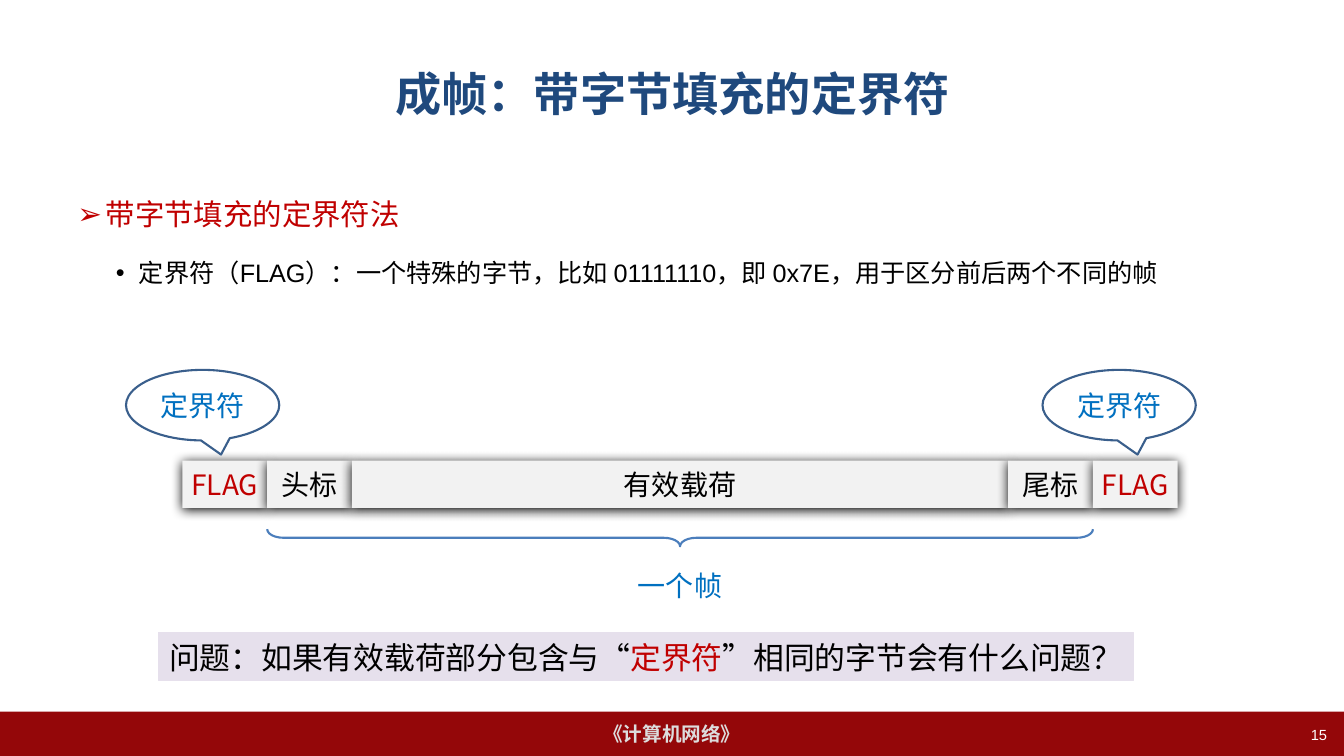
from lxml.etree import SubElement
from pptx import Presentation
from pptx.dml.color import RGBColor
from pptx.enum.shapes import MSO_SHAPE as SHAPE
from pptx.enum.text import MSO_ANCHOR as ANCHOR, PP_ALIGN as ALIGN
from pptx.oxml.ns import qn
from pptx.util import Inches, Pt

COLORS = {
    "bar": "940709", "bar_text": "DDDDDD", "title": "1F497D",
    "red": "C00000", "black": "000000", "blue": "0070C0",
    "white": "FFFFFF", "cell": "F2F2F2", "brace": "4B7EBC",
    "callout": "3A5F8C", "question": "E6E0EC",
}
LATIN, CJK = "Arial", "Noto Sans CJK SC"


def rgb(name):
    return RGBColor.from_string(COLORS[name])


class SlideBuilder:
    def __init__(self, slide):
        self.shapes = slide.shapes

    def style(self, p, size, color, font=CJK, bold=False, align=ALIGN.CENTER):
        p.alignment = align
        p.font.size = Pt(size)
        p.font.bold = bold
        p.font.color.rgb = rgb(color)
        p.font.name = font
        props = p._p.pPr.find(qn("a:defRPr"))
        SubElement(props, qn("a:ea"), typeface=CJK)

    def label(self, sp, text, size, color, anchor=ANCHOR.MIDDLE, wrap=True, **style):
        tf = sp.text_frame
        tf.word_wrap = wrap
        tf.vertical_anchor = anchor
        p = tf.paragraphs[0]
        p.text = text
        self.style(p, size, color, **style)
        return p

    def text(self, box, text, size, color, **options):
        sp = self.shapes.add_textbox(*map(Inches, box))
        self.label(sp, text, size, color, **options)

    def shape(self, kind, box, fill=None, line=None, width=1.5, adjust=()):
        sp = self.shapes.add_shape(kind, *map(Inches, box))
        sp.shadow.inherit = False
        if fill:
            sp.fill.solid()
            sp.fill.fore_color.rgb = rgb(fill)
        else:
            sp.fill.background()
        if line:
            sp.line.color.rgb = rgb(line)
            sp.line.width = Pt(width)
        else:
            sp.line.fill.background()
        for i, value in enumerate(adjust):
            sp.adjustments[i] = value
        return sp

    def cell(self, box, text, color):
        sp = self.shape(SHAPE.RECTANGLE, box, "cell")
        effects = sp._element.spPr.find(qn("a:effectLst"))
        shadow = SubElement(effects, qn("a:outerShdw"), blurRad=str(Pt(8.5)),
                            dist=str(Pt(1)), dir="5400000", algn="t", rotWithShape="0")
        SubElement(shadow, qn("a:srgbClr"), val=COLORS["black"])
        tf = sp.text_frame
        tf.margin_left = tf.margin_right = tf.margin_top = tf.margin_bottom = 0
        self.label(sp, text, 20, color, wrap=False)

    def callout(self, left, text):
        sp = self.shape(SHAPE.OVAL_CALLOUT, (left, 3.67, 1.52, 0.7), "white",
                        "callout", adjust=(0.12, 0.7))
        self.label(sp, text, 20, "blue")

    def bullets(self, box, items):
        tf = self.shapes.add_textbox(*map(Inches, box)).text_frame
        tf.word_wrap = True
        for level, (text, mark, margin, hang, size, color) in enumerate(items):
            p = tf.add_paragraph() if level else tf.paragraphs[0]
            p.text = text
            p.level = level
            p.line_spacing = Pt(36)
            if level:
                p.space_before = Pt(4)
            props = p._p.get_or_add_pPr()
            props.set("marL", str(Inches(margin)))
            props.set("indent", str(-Inches(hang)))
            SubElement(props, qn("a:buFont"), typeface=LATIN)
            SubElement(props, qn("a:buChar"), char=mark)
            self.style(p, size, color, LATIN, align=ALIGN.LEFT)


def main():
    prs = Presentation()
    prs.slide_width, prs.slide_height = Inches(13.33), Inches(7.5)
    s = SlideBuilder(prs.slides.add_slide(prs.slide_layouts[6]))

    footer = s.shape(SHAPE.RECTANGLE, (0, 7.06, 13.33, 0.44), "bar")
    s.label(footer, "《计算机网络》", 14, "bar_text", wrap=False, font=LATIN, bold=True)
    s.text((0.67, 0.3, 12, 1.25), "成帧：带字节填充的定界符", 33, "title",
           font=LATIN, bold=True)
    s.bullets((0.67, 1.75, 12, 4.95), [
        ("带字节填充的定界符法", "➢", 0.28, 0.28, 21, "red"),
        ("定界符（FLAG）：一个特殊的字节，比如 01111110，即 0x7E，用于区分前后两个不同的帧",
         "•", 0.61, 0.23, 18, "black"),
    ])

    left = 1.81
    for text, width, color in [("FLAG", 0.84, "red"), ("头标", 0.84, "black"),
                               ("有效载荷", 6.51, "black"), ("尾标", 0.84, "black"),
                               ("FLAG", 0.84, "red")]:
        s.cell((left, 4.57, width, 0.47), text, color)
        left += width

    brace = s.shape(SHAPE.LEFT_BRACE, (6.66, 1.24, 0.17, 8.19), line="brace",
                    adjust=(0.95, 0.5))
    brace.rotation = 270
    s.text((5.96, 5.59, 1.57, 0.44), "一个帧", 20, "blue")

    for left in (1.25, 10.34):
        s.callout(left, "定界符")

    question = s.shape(SHAPE.RECTANGLE, (1.57, 6.28, 9.67, 0.47), "question",
                       "question", 0.75)
    p = s.label(question, "问题：如果有效载荷部分包含与“", 22, "black")
    for text, color in [("定界符", "red"), ("”相同的字节会有什么问题？", "black")]:
        r = p.add_run()
        r.text = text
        r.font.color.rgb = rgb(color)

    s.text((10.15, 7.15, 3.11, 0.35), "15", 10.5, "white", anchor=ANCHOR.TOP,
           font=LATIN, align=ALIGN.RIGHT)
    prs.save("out.pptx")


if __name__ == "__main__":
    main()
